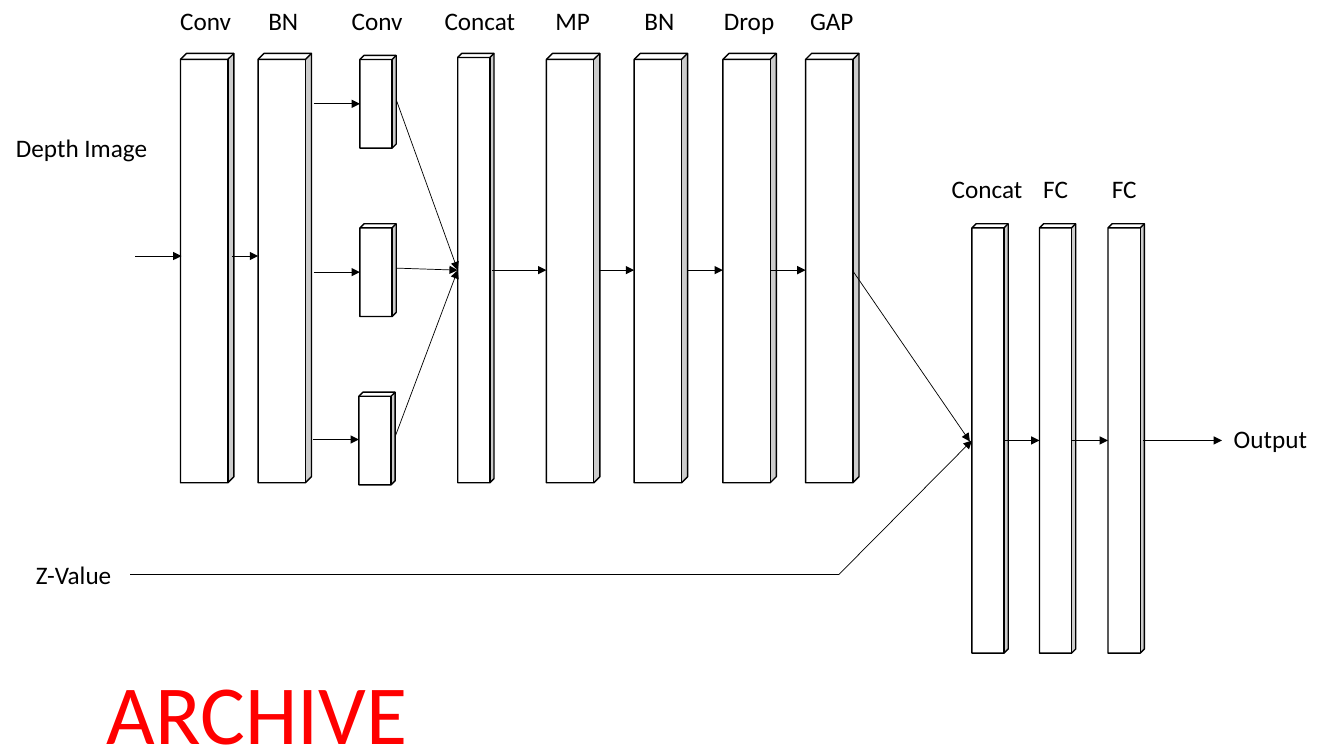
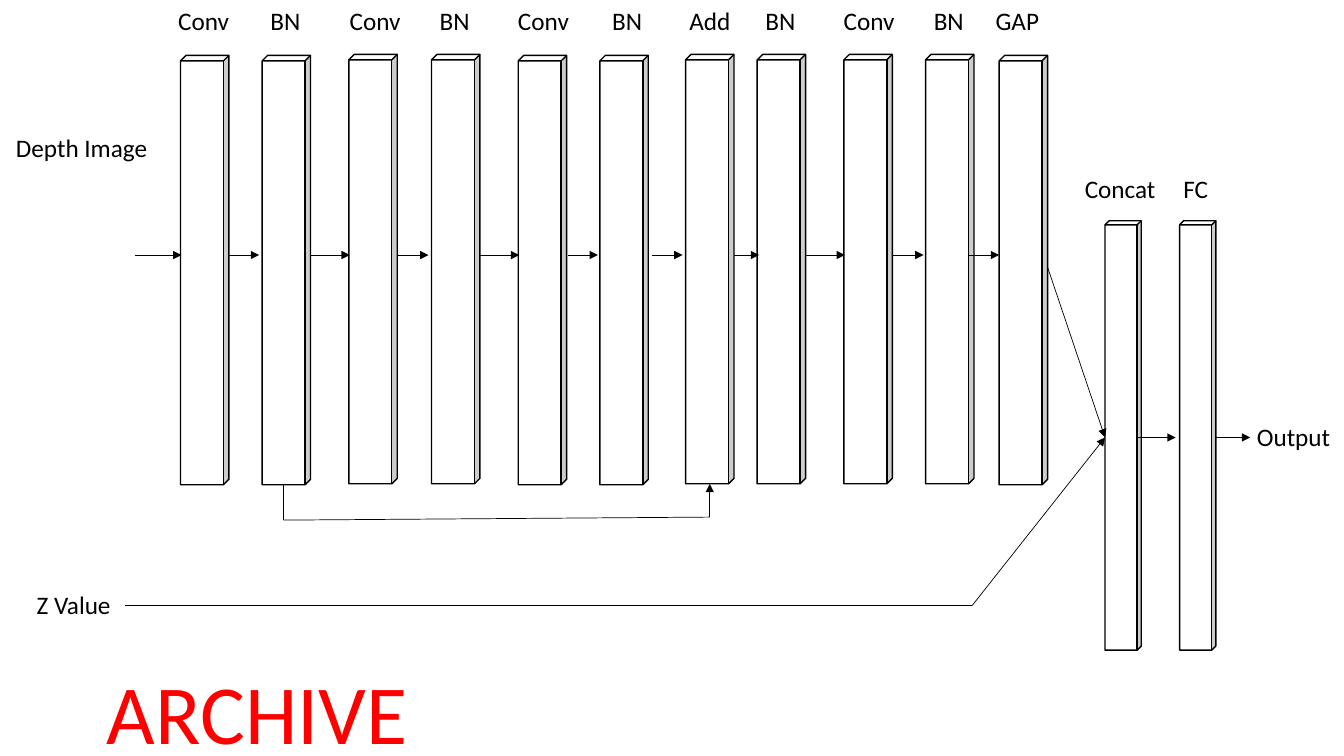
"""Build two slides of network architecture diagrams for depth image and Z value inputs."""
from lxml.etree import SubElement
from pptx import Presentation
from pptx.dml.color import RGBColor
from pptx.enum.shapes import MSO_CONNECTOR, MSO_SHAPE
from pptx.enum.text import PP_ALIGN
from pptx.oxml.ns import qn
from pptx.util import Pt

PX = 9144
SLIDE_WIDTH, SLIDE_HEIGHT = 1333, 750
BLACK = RGBColor(0x00, 0x00, 0x00)
WHITE = RGBColor(0xFF, 0xFF, 0xFF)
RED = RGBColor(0xFF, 0x00, 0x00)
LAYER_HEIGHT, BRANCH_HEIGHT = 426, 92
CUBE_DEPTH = 0.113
LABEL_FONT = {"name": "Calibri", "size": Pt(18)}
STAMP_FONT = {"name": "Calibri", "size": Pt(60)}
LABEL_FRAME = {"word_wrap": True, "margin_left": 0, "margin_right": 0}


def add_label(slide, wording, centre, top, width=80, height=40, font=LABEL_FONT, color=BLACK):
    label = slide.shapes.add_textbox((centre - width // 2) * PX, top * PX, width * PX, height * PX)
    for key, value in LABEL_FRAME.items():
        setattr(label.text_frame, key, value)
    paragraph = label.text_frame.paragraphs[0]
    paragraph.alignment = PP_ALIGN.CENTER
    run = paragraph.add_run()
    run.text = wording
    for key, value in font.items():
        setattr(run.font, key, value)
    run.font.color.rgb = color


def add_flow(slide, x1, y1, x2, y2, arrow=True):
    flow = slide.shapes.add_connector(MSO_CONNECTOR.STRAIGHT, x1 * PX, y1 * PX, x2 * PX, y2 * PX)
    flow.line.width = Pt(0.5)
    flow.line.color.rgb = BLACK
    if arrow:
        SubElement(flow.line._get_or_add_ln(), qn("a:tailEnd"), type="triangle")
    SubElement(flow._element.spPr, qn("a:effectLst"))


# fmt: off
networks = [
    {
        "layers": [(179, 53, 53), (256, 53, 53), (454, 53, 36), (542, 53, 53), (629, 53, 53),
                   (717, 53, 53), (799, 53, 53), (964, 222, 36), (1031, 222, 36), (1099, 222, 36)],
        "branches": [(357, 55, 36), (357, 222, 36), (356, 389, 36)],
        "top labels": [("Conv", 204), ("BN", 281), ("Conv", 374), ("Concat", 476), ("MP", 568),
                       ("BN", 654), ("Drop", 743), ("GAP", 825)],
        "head labels": [("Concat", 979), ("FC", 1047), ("FC", 1115)],
        "side labels": [("Z-Value", 73, 550), ("Output", 1260, 415)],
        "level flows": [(254, [(134, 180), (230, 256)]),
                        (103, [(311, 357)]), (270, [(311, 357)]), (436, [(310, 356)]),
                        (268, [(488, 542), (594, 629), (682, 717), (764, 799)]),
                        (437, [(995, 1031), (1063, 1099), (1134, 1212)])],
        "slanted flows": [(393, 99, 454, 268), (393, 266, 454, 268), (392, 433, 454, 268),
                          (846, 269, 962, 438), (832, 570, 964, 437)],
        "plain lines": [(129, 570, 832, 570)],
    },
    {
        "layers": [(179, 55, 48), (260, 55, 48), (346, 54, 48), (428, 54, 48), (514, 55, 48),
                   (595, 55, 48), (680, 54, 48), (751, 54, 48), (837, 54, 48), (918, 54, 48),
                   (991, 55, 48), (1096, 219, 36), (1170, 219, 36)],
        "branches": [],
        "top labels": [("Conv", 202), ("BN", 283), ("Conv", 372), ("BN", 451), ("Conv", 539),
                       ("BN", 622), ("Add", 704), ("BN", 774), ("Conv", 862), ("BN", 941),
                       ("GAP", 1009)],
        "head labels": [("Concat", 1111), ("FC", 1186)],
        "side labels": [("Z Value", 73, 580), ("Output", 1283, 413)],
        "level flows": [(253, [(134, 180), (227, 257), (307, 347), (395, 425), (475, 515),
                               (563, 593), (647, 677), (728, 753), (798, 838), (886, 916),
                               (961, 991)]),
                        (434, [(1127, 1166), (1205, 1240)])],
        "slanted flows": [(1039, 265, 1096, 434), (964, 601, 1096, 434), (704, 513, 704, 480)],
        "plain lines": [(124, 601, 964, 601), (281, 481, 281, 516), (281, 516, 704, 513)],
    },
]
# fmt: on

deck = Presentation()
deck.slide_width, deck.slide_height = SLIDE_WIDTH * PX, SLIDE_HEIGHT * PX

for network in networks:
    slide = deck.slides.add_slide(deck.slide_layouts[6])

    for group, height in (("layers", LAYER_HEIGHT), ("branches", BRANCH_HEIGHT)):
        for left, top, width in network[group]:
            layer = slide.shapes.add_shape(
                MSO_SHAPE.CUBE, left * PX, top * PX, width * PX, height * PX)
            layer.adjustments[0] = CUBE_DEPTH
            layer.shadow.inherit = False
            layer.fill.solid()
            layer.fill.fore_color.rgb = WHITE
            layer.line.color.rgb = BLACK
            layer.line.width = Pt(1)

    for y, spans in network["level flows"]:
        for start, end in spans:
            add_flow(slide, start, y, end, y)
    for ends in network["slanted flows"]:
        add_flow(slide, *ends)
    for ends in network["plain lines"]:
        add_flow(slide, *ends, arrow=False)

    for group, top in (("top labels", 0), ("head labels", 167)):
        for wording, centre in network[group]:
            add_label(slide, wording, centre, top)
    for wording, centre, top in network["side labels"]:
        add_label(slide, wording, centre, top)
    add_label(slide, "Depth Image", 81, 126, width=150)
    add_label(slide, "ARCHIVE", 255, 650, 410, 100, STAMP_FONT, RED)

deck.save("out.pptx")
